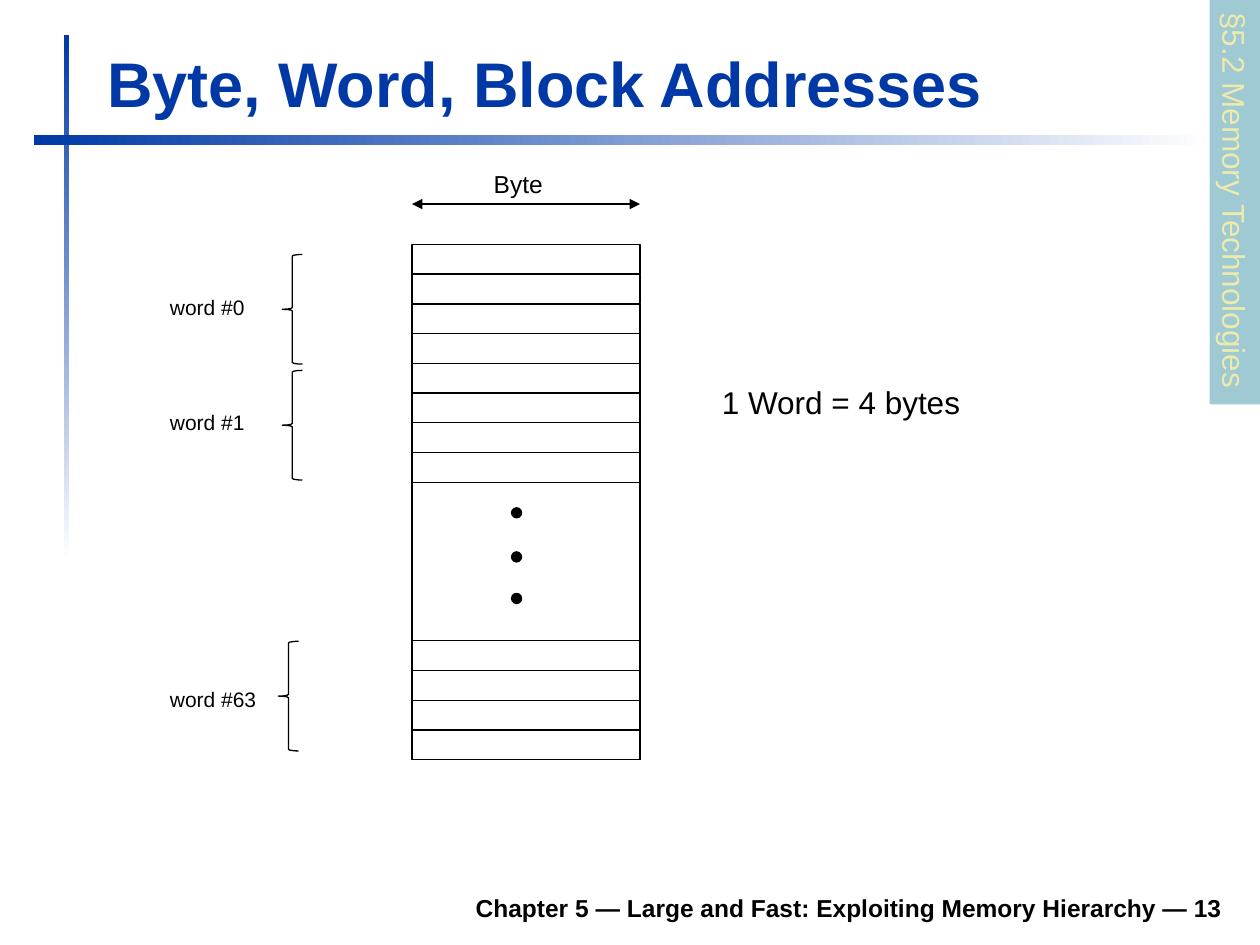
from dataclasses import dataclass

from lxml import etree
from pptx import Presentation
from pptx.dml.color import RGBColor
from pptx.enum.shapes import MSO_CONNECTOR as Connector, MSO_SHAPE as Shape
from pptx.enum.text import MSO_ANCHOR as Anchor, PP_ALIGN as Align
from pptx.oxml.ns import qn
from pptx.util import Inches, Pt


@dataclass(frozen=True)
class Theme:
    """Colours, font and type sizes of the slide."""
    blue: RGBColor = RGBColor(0x00, 0x39, 0xA6)
    white: RGBColor = RGBColor(0xFF, 0xFF, 0xFF)
    black: RGBColor = RGBColor(0x00, 0x00, 0x00)
    teal: RGBColor = RGBColor(0x9F, 0xCA, 0xD3)
    cream: RGBColor = RGBColor(0xEC, 0xEA, 0xAC)
    font: str = "Arial"
    title: Pt = Pt(36)
    note: Pt = Pt(18)
    label: Pt = Pt(14)
    word: Pt = Pt(12)
    line: Pt = Pt(0.75)


THEME = Theme()


def to_inches(box):
    """Turn a box of plain numbers into lengths."""
    return [Inches(value) for value in box]


def write(shape, text, size, color=THEME.black, bold=False,
          align=Align.LEFT, anchor=Anchor.TOP, wrap=True):
    """Set and format the single paragraph of a shape."""
    frame = shape.text_frame
    frame.text = text
    frame.word_wrap = wrap
    frame.vertical_anchor = anchor
    paragraph = frame.paragraphs[0]
    paragraph.alignment = align
    font = paragraph.runs[0].font
    font.name, font.size, font.bold = THEME.font, size, bold
    font.color.rgb = color


def add_label(slide, box, text, size, **style):
    """Add a text box."""
    write(slide.shapes.add_textbox(*to_inches(box)), text, size, **style)


def add_figure(slide, kind, box, fill=None, outlined=True):
    """Add a preset shape with an optional fill and a thin black outline."""
    shape = slide.shapes.add_shape(kind, *to_inches(box))
    shape.shadow.inherit = False
    if fill is None:
        shape.fill.background()
    else:
        shape.fill.solid()
        shape.fill.fore_color.rgb = fill
    if outlined:
        shape.line.color.rgb = THEME.black
        shape.line.width = THEME.line
    else:
        shape.line.fill.background()
    return shape


def add_fading_bar(slide, box, angle):
    """Add a bar that fades from blue to white."""
    fill = add_figure(slide, Shape.RECTANGLE, box, outlined=False).fill
    fill.gradient()
    fill.gradient_angle = angle
    for stop, color, position in zip(fill.gradient_stops, (THEME.blue, THEME.white), (0, 1)):
        stop.color.rgb = color
        stop.position = position


def add_title(slide, box, text):
    """Place and format the title placeholder."""
    title = slide.shapes.title
    title.left, title.top, title.width, title.height = to_inches(box)
    write(title, text, THEME.title, THEME.blue, bold=True, anchor=Anchor.BOTTOM)


def add_section_tab(slide, box, text):
    """Add the section tab, turned to read downwards."""
    left, top, width, height = box
    unturned = (left + (width - height) / 2, top + (height - width) / 2, height, width)
    tab = add_figure(slide, Shape.RECTANGLE, unturned, THEME.teal, outlined=False)
    tab.rotation = 90
    write(tab, text, THEME.note, THEME.cream, wrap=False)


def add_byte_width(slide, box):
    """Add the Byte label above a double-headed arrow along the foot of its box."""
    left, top, width, height = box
    add_label(slide, (left + 0.55, top, 0.63, 0.34), "Byte", THEME.label)
    arrow = slide.shapes.add_connector(
        Connector.STRAIGHT, *to_inches((left, top + height, left + width, top + height)))
    arrow.line.color.rgb = THEME.black
    arrow.line.width = THEME.line
    outline = arrow.line._get_or_add_ln()
    for end in ("a:headEnd", "a:tailEnd"):
        etree.SubElement(outline, qn(end), type="triangle")
    etree.SubElement(arrow._element.spPr, qn("a:effectLst"))


def add_memory(slide, box):
    """Add the column of byte cells with a dotted gap before the last word."""
    left, top, width, height = box
    cell = 0.236
    gap_top = top + 7 * cell
    bottom = top + height
    add_figure(slide, Shape.RECTANGLE, (left, gap_top, width, bottom - gap_top))
    first_cells = [top + row * cell for row in range(8)]
    last_cells = [bottom - row * cell for row in (4, 2, 1)]
    for cell_top in first_cells + last_cells:
        add_figure(slide, Shape.RECTANGLE, (left, cell_top, width, cell))
    for offset in (2.09, 2.44, 2.77):
        add_figure(slide, Shape.OVAL, (left + 0.79, top + offset, 0.08, 0.08), THEME.black)


def add_word(slide, box, text, label_offset):
    """Add a brace at the right of its box and the word label at the left."""
    left, top, width, height = box
    add_figure(slide, Shape.LEFT_BRACE, (left + width - 0.16, top, 0.16, height), THEME.white)
    add_label(slide, (left, top + label_offset, 0.91, 0.3), text, THEME.word)


def main():
    """Build and save the slide."""
    presentation = Presentation()
    presentation.slide_width, presentation.slide_height = Inches(10), Inches(7.5)
    slide = presentation.slides.add_slide(presentation.slide_layouts[5])

    add_fading_bar(slide, (0.51, 0.28, 0.04, 4.17), 270)
    add_fading_bar(slide, (0.27, 1.07, 9.37, 0.08), 0)
    add_title(slide, (0.75, 0.29, 9.03, 0.71), "Byte, Word, Block Addresses")
    add_section_tab(slide, (9.6, 0, 0.4, 3.21), "§5.2 Memory Technologies")
    add_byte_width(slide, (3.27, 1.29, 1.81, 0.33))
    add_memory(slide, (3.27, 1.94, 1.81, 4.09))
    for text, top, width, label_offset in (
            ("word #0", 2.02, 1.15, 0.27),
            ("word #1", 2.94, 1.15, 0.26),
            ("word #63", 5.09, 1.12, 0.31)):
        add_word(slide, (1.25, top, width, 0.87), text, label_offset)
    add_label(slide, (5.63, 2.99, 2.18, 0.4), "1 Word = 4 bytes", THEME.note, wrap=False)
    add_label(slide, (1.85, 6.98, 7.95, 0.39),
              "Chapter 5 — Large and Fast: Exploiting Memory Hierarchy — 13",
              THEME.label, bold=True, align=Align.RIGHT, anchor=Anchor.BOTTOM)
    presentation.save("out.pptx")


if __name__ == "__main__":
    main()
